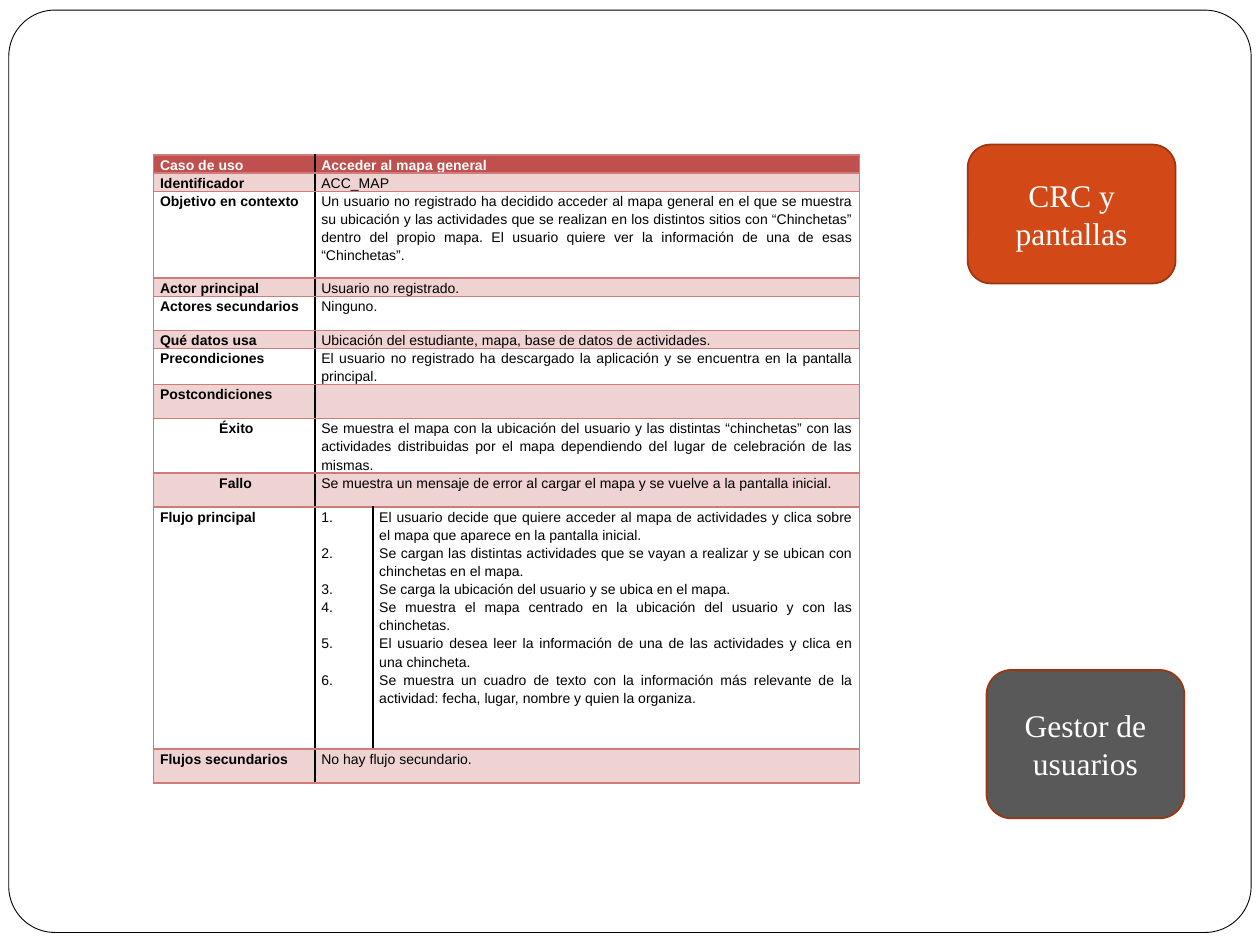
from dataclasses import dataclass
from lxml import etree
from pptx import Presentation
from pptx.dml.color import RGBColor
from pptx.enum.shapes import MSO_SHAPE
from pptx.enum.text import MSO_ANCHOR, PP_ALIGN
from pptx.oxml.ns import qn
from pptx.util import Inches, Pt

ROUND = MSO_SHAPE.ROUNDED_RECTANGLE
MIDDLE = MSO_ANCHOR.MIDDLE
CENTER, JUSTIFY = PP_ALIGN.CENTER, PP_ALIGN.JUSTIFY


@dataclass(frozen=True)
class Theme:
    white: str = "FFFFFF"
    black: str = "000000"
    head: str = "C0504D"
    band: str = "EFD3D2"
    rule: str = "CF7B79"
    orange: str = "D34817"
    gray: str = "595959"
    edge: str = "9C3511"
    sans: str = "Arial"
    serif: str = "Times New Roman"
    small: float = 8
    large: float = 18
    line: float = 10.35


T = Theme()
WIDE, HIGH = 10, 7.5
FRAME = (0.007, 0.0107, 0.986, 0.976)
GRID = (0.122, 0.164)
COLS = (1.28, 0.46, 3.86)
INSET, INDENT = 0.05, 0.47

STEPS = [
    ("El usuario decide que quiere acceder al mapa de actividades y clica sobre el mapa que aparece en la pantalla inicial.", 2),
    ("Se cargan las distintas actividades que se vayan a realizar y se ubican con chinchetas en el mapa.", 2),
    ("Se carga la ubicación del usuario y se ubica en el mapa.", 1),
    ("Se muestra el mapa centrado en la ubicación del usuario y con las chinchetas.", 2),
    ("El usuario desea leer la información de una de las actividades y clica en una chincheta.", 2),
    ("Se muestra un cuadro de texto con la información más relevante de la actividad: fecha, lugar, nombre y quien la organiza.", 2),
]
ROWS = [
    ("Caso de uso", "Acceder al mapa general", 0.14),
    ("Identificador", "ACC_MAP", 0.14),
    ("Objetivo en contexto", "Un usuario no registrado ha decidido acceder al mapa general en el que se muestra su ubicación y las actividades que se realizan en los distintos sitios con “Chinchetas” dentro del propio mapa. El usuario quiere ver la información de una de esas “Chinchetas”.", 0.69),
    ("Actor principal", "Usuario no registrado.", 0.14),
    ("Actores secundarios", "Ninguno.", 0.27),
    ("Qué datos usa", "Ubicación del estudiante, mapa, base de datos de actividades.", 0.14),
    ("Precondiciones", "El usuario no registrado ha descargado la aplicación y se encuentra en la pantalla principal.", 0.27),
    ("Postcondiciones", "", 0.27),
    ("Éxito", "Se muestra el mapa con la ubicación del usuario y las distintas “chinchetas” con las actividades distribuidas por el mapa dependiendo del lugar de celebración de las mismas.", 0.41),
    ("Fallo", "Se muestra un mensaje de error al cargar el mapa y se vuelve a la pantalla inicial.", 0.27),
    ("Flujo principal", STEPS, 1.92),
    ("Flujos secundarios", "No hay flujo secundario.", 0.27),
]
NESTED = ("Éxito", "Fallo")
BOXES = [
    ("CRC y pantallas", (0.768, 0.153, 0.165, 0.147), T.orange),
    ("Gestor de usuarios", (0.783, 0.709, 0.157, 0.157), T.gray),
]


def rgb(code):
    return RGBColor.from_string(code)


def style(para, name, size, color, bold=False):
    font = para.font
    font.name, font.size, font.bold = name, Pt(size), bold
    font.color.rgb = rgb(color)


def add_box(slide, share, fill, edge, width):
    x, y, w, h = share
    box = slide.shapes.add_shape(ROUND, Inches(x * WIDE), Inches(y * HIGH),
                                 Inches(w * WIDE), Inches(h * HIGH))
    box.shadow.inherit = False
    box.fill.solid()
    box.fill.fore_color.rgb = rgb(fill)
    box.line.color.rgb = rgb(edge)
    box.line.width = Pt(width)
    return box


def add_edges(cell, left, right):
    props = cell._tc.get_or_add_tcPr()
    for side, color in zip("LRTB", (left, right, T.rule, T.rule)):
        line = etree.SubElement(props, qn(f"a:ln{side}"), w=str(Pt(1)))
        fill = etree.SubElement(line, qn("a:solidFill"))
        etree.SubElement(fill, qn("a:srgbClr"), val=color)


def paint(cell, row):
    if row % 2 and row > 0 or row == 0:
        cell.fill.solid()
        cell.fill.fore_color.rgb = rgb(T.band if row else T.head)
    else:
        cell.fill.background()


def write(cell, lines, color, bold, gaps=()):
    cell.margin_left = cell.margin_right = Inches(INSET)
    cell.margin_top = cell.margin_bottom = 0
    frame = cell.text_frame
    frame.text = "\n".join(lines)
    for para in frame.paragraphs:
        para.alignment, para.line_spacing = JUSTIFY, 1.15
        style(para, T.sans, T.small, color, bold)
    for para, gap in zip(frame.paragraphs, gaps):
        para.space_after = Pt(gap)


def add_case(slide):
    x, y = GRID
    shape = slide.shapes.add_table(
        len(ROWS), len(COLS), Inches(x * WIDE), Inches(y * HIGH),
        Inches(sum(COLS)), Inches(sum(row[2] for row in ROWS)))
    table = shape.table
    table.first_row = table.horz_banding = False
    for col, width in zip(table.columns, COLS):
        col.width = Inches(width)
    for i, (label, body, height) in enumerate(ROWS):
        table.rows[i].height = Inches(height)
        name, mid, last = (table.cell(i, j) for j in range(3))
        split = isinstance(body, list)
        color = T.black if i else T.white
        if not split:
            mid.merge(last)
        add_edges(name, T.rule, T.black)
        add_edges(mid, T.black, T.black if split else T.rule)
        add_edges(last, T.black if split else T.rule, T.rule)
        for cell in (name, mid, last):
            paint(cell, i)
        write(name, [label], color, True)
        if label in NESTED:
            name.margin_left = Inches(INSET + INDENT)
        if split:
            nums = [f"{n}." for n in range(1, len(body) + 1)]
            write(mid, nums, color, False, [(n - 1) * T.line for _, n in body])
            write(last, [text for text, _ in body], color, False)
        else:
            write(mid, [body], color, i == 0)


def main():
    deck = Presentation()
    deck.slide_width, deck.slide_height = Inches(WIDE), Inches(HIGH)
    slide = deck.slides.add_slide(deck.slide_layouts[6])
    frame = add_box(slide, FRAME, T.white, T.black, 0.5)
    frame.adjustments[0] = 0.05
    add_case(slide)
    for text, share, fill in BOXES:
        box = add_box(slide, share, fill, T.edge, 1)
        box.text_frame.text = text
        box.text_frame.word_wrap = True
        box.text_frame.vertical_anchor = MIDDLE
        para = box.text_frame.paragraphs[0]
        para.alignment = CENTER
        style(para, T.serif, T.large, T.white)
    deck.save("out.pptx")


if __name__ == "__main__":
    main()
